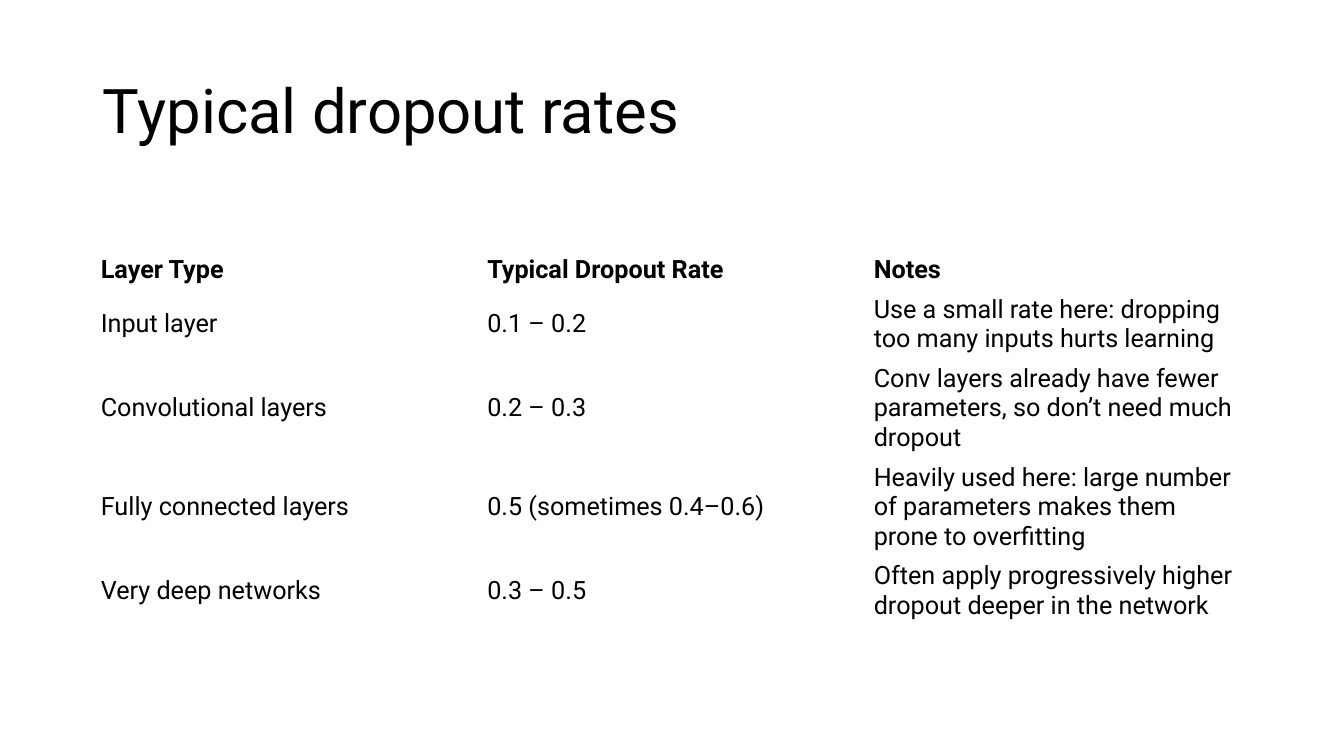
from pptx import Presentation
from pptx.dml.color import RGBColor
from pptx.enum import text
from pptx.util import Inches, Pt

LEFT, WIDTH = 0.92, 11.5
LINE_HEIGHT = 0.29
CELL_PADDING_X, CELL_PADDING_Y = 0.08, 0.05

# Each row: layer type, rate, notes, and the lines its tallest cell takes
DROPOUT_RATES = [
    ("Layer Type", "Typical Dropout Rate", "Notes", 1),
    ("Input layer", "0.1 – 0.2",
     "Use a small rate here: dropping too many inputs hurts learning", 2),
    ("Convolutional layers", "0.2 – 0.3",
     "Conv layers already have fewer parameters, so don’t need much dropout", 3),
    ("Fully connected layers", "0.5 (sometimes 0.4–0.6)",
     "Heavily used here: large number of parameters makes them prone to overfitting", 3),
    ("Very deep networks", "0.3 – 0.5",
     "Often apply progressively higher dropout deeper in the network", 2),
]


def color(hex_value):
    return RGBColor.from_string(hex_value)


class SlideBuilder:
    font_name = "Roboto"
    ink = "000000"
    paper = "FFFFFF"

    def __init__(self, slide):
        self.slide = slide
        background = slide.background.fill
        background.solid()
        background.fore_color.rgb = color(self.paper)

    def format_runs(self, paragraph, size, bold=False):
        for run in paragraph.runs:
            run.font.name = self.font_name
            run.font.size = Pt(size)
            run.font.bold = bold
            run.font.color.rgb = color(self.ink)

    def title(self, wording, left, top, width, height):
        heading = self.slide.shapes.title
        heading.left, heading.top = Inches(left), Inches(top)
        heading.width, heading.height = Inches(width), Inches(height)
        frame = heading.text_frame
        frame.text = wording
        frame.word_wrap = True
        frame.vertical_anchor = text.MSO_ANCHOR.MIDDLE
        paragraph = frame.paragraphs[0]
        paragraph.alignment = text.PP_ALIGN.LEFT
        paragraph.line_spacing = 0.9
        self.format_runs(paragraph, 44)

    def table(self, rows, left, top, width):
        """Draw a plain table whose first row is bold; rows end in a line count."""
        heights = [Inches(lines * LINE_HEIGHT + 2 * CELL_PADDING_Y)
                   for *_, lines in rows]
        column_count = len(rows[0]) - 1
        grid = self.slide.shapes.add_table(
            len(rows), column_count, Inches(left), Inches(top),
            Inches(width), sum(heights)).table
        grid.first_row = grid.horz_banding = False
        for row_index, (*entries, _) in enumerate(rows):
            grid.rows[row_index].height = heights[row_index]
            for column_index, entry in enumerate(entries):
                self.fill_cell(grid.cell(row_index, column_index), entry,
                               bold=row_index == 0)

    def fill_cell(self, cell, entry, bold):
        cell.fill.background()
        cell.vertical_anchor = text.MSO_ANCHOR.MIDDLE
        cell.margin_left = cell.margin_right = Inches(CELL_PADDING_X)
        cell.margin_top = cell.margin_bottom = Inches(CELL_PADDING_Y)
        cell.text_frame.text = entry
        self.format_runs(cell.text_frame.paragraphs[0], 18, bold)


def main():
    deck = Presentation()
    deck.slide_width, deck.slide_height = Inches(13.33), Inches(7.5)
    title_only = deck.slide_layouts[5]
    builder = SlideBuilder(deck.slides.add_slide(title_only))
    builder.title("Typical dropout rates", LEFT, 0.4, WIDTH, 1.45)
    builder.table(DROPOUT_RATES, LEFT, 2.48, WIDTH)
    deck.save("out.pptx")


if __name__ == "__main__":
    main()
